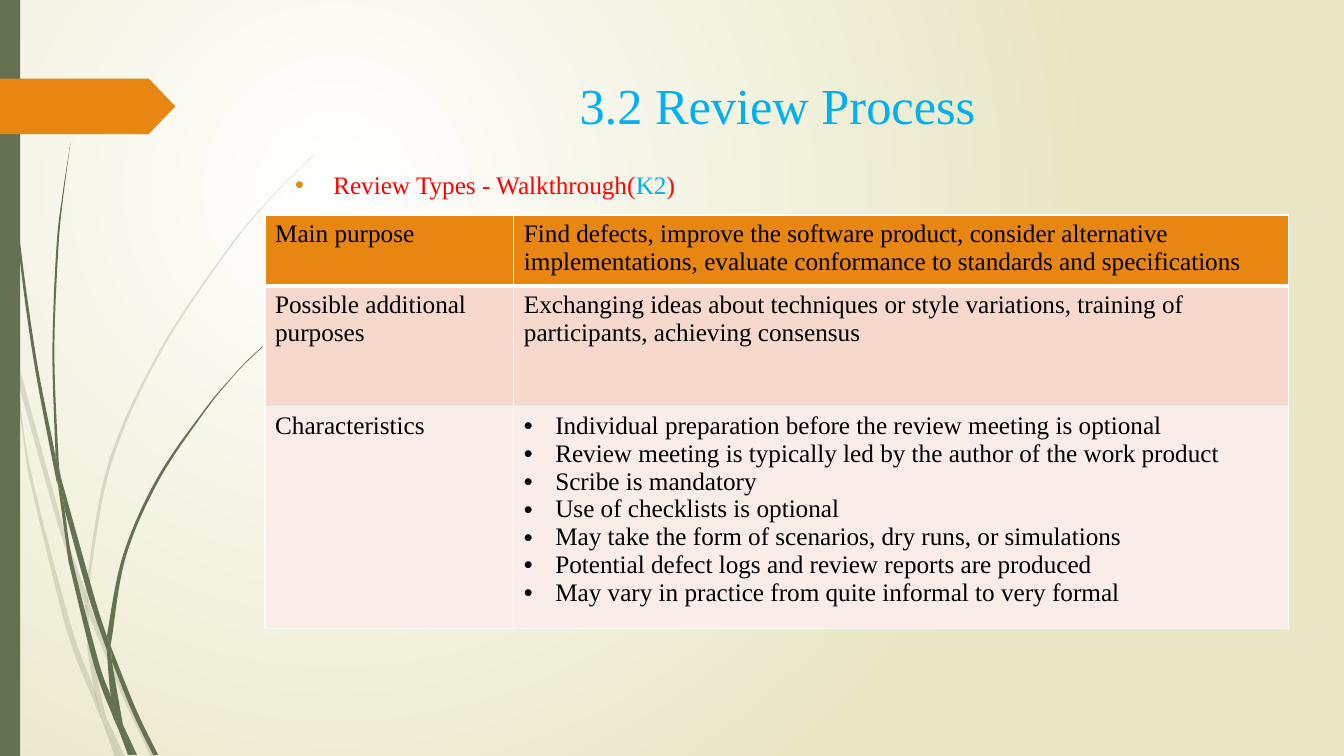
"""Build the Review Process slide on walkthroughs."""
from lxml import etree
from pptx import Presentation
from pptx.dml.color import RGBColor
from pptx.enum.shapes import MSO_SHAPE
from pptx.enum.text import MSO_ANCHOR, PP_ALIGN
from pptx.oxml.ns import qn
from pptx.util import Cm, Pt

RECTANGLE, PENTAGON = MSO_SHAPE.RECTANGLE, MSO_SHAPE.PENTAGON
TOP, CENTER, LEFT = MSO_ANCHOR.TOP, PP_ALIGN.CENTER, PP_ALIGN.LEFT
FONT = "Times New Roman"
TITLE_ONLY = 5
CM_PER_INCH = 2.54
COLORS = {
    "white": "FFFFFF", "cream": "E8E6C4", "green": "647252", "orange": "E78712",
    "blue": "00B0F0", "red": "FF0000", "black": "000000",
    "rose": "F6D9CC", "blush": "FAEDE7",
}

# Each blade has two edges, one running out and one running back, in inches.
PALE_BLADES = [
    ([(.11, 3.5), (.09, 3.22), (0, 2.82)], [(0, 2.99), (.1, 3.44)]),
    ([(.14, 3.45), (.62, 5.2), (.85, 5.86)], [(.84, 5.99), (.58, 5.22), (.17, 3.76)]),
    ([(.88, 5.96), (.92, 6.07), (1.27, 6.92), (1.55, 7.51)],
     [(1.5, 7.51), (1.23, 6.94), (.88, 6.1)]),
    ([(1.05, 7.11), (1.24, 7.51)], [(1.19, 7.51)]),
    ([(.11, 3.5), (.17, 3.76), (.31, 4.69), (.7, 6.19), (.93, 6.83), (.99, 7.07)],
     [(1.01, 7.14), (.92, 6.93), (.65, 6.21), (.28, 4.7)]),
    ([(.84, 5.99), (.88, 6.08), (.91, 6.46), (1.05, 7.11)],
     [(.96, 6.92), (.93, 6.83), (.87, 6.46)]),
    ([(3.12, 1.53), (2.89, 1.75), (2.68, 1.97), (2.28, 2.44), (1.58, 3.48),
      (1.07, 4.61), (.85, 5.84)],
     [(.88, 5.96), (.88, 5.84), (1.1, 4.62), (1.6, 3.49), (2.29, 2.45),
      (2.68, 1.98), (2.9, 1.75), (3.12, 1.54)]),
    ([(1.01, 7.14), (1.14, 7.51)], [(1.19, 7.51)]),
    ([(.85, 5.86), (.84, 5.99), (.88, 6.08)], [(.88, 6.1), (.88, 5.96)]),
    ([(.93, 6.83), (.99, 7.07), (1.01, 7.14), (1.19, 7.51)], [(1.05, 7.11), (.96, 6.92)]),
]
DARK_BLADES = [
    ([(.03, 0), (.04, .48), (.07, 1.1), (.17, 2.33), (.33, 3.55), (.56, 4.77)],
     [(.57, 4.81), (.55, 4.53), (.36, 3.55), (.19, 2.32), (.08, 1.09), (.05, .48), (.04, 0)]),
    ([(.6, 4.72), (.93, 5.9), (1.06, 6.31)], [(1.06, 6.45), (.88, 5.92), (.64, 5.05)]),
    ([(1.1, 6.41), (1.13, 6.49), (1.36, 7.06), (1.57, 7.49)],
     [(1.52, 7.49), (1.32, 7.08), (1.11, 6.56)]),
    ([(.57, 4.77), (.64, 5.05), (.72, 5.56), (.98, 6.57), (1.1, 6.91), (1.16, 7.17)],
     [(1.17, 7.22), (1.11, 7.08), (.93, 6.59), (.68, 5.57)]),
    ([(.7, 1.41), (.62, 1.93), (.56, 2.45), (.52, 3.49), (.55, 4.49)],
     [(.6, 4.72), (.58, 4.53), (.54, 3.49), (.58, 2.45), (.63, 1.93)]),
    ([(1.22, 7.19), (1.36, 7.49)], [(1.33, 7.49)]),
    ([(.55, 4.49), (.6, 4.72), (.64, 5.05)], [(.57, 4.77), (.55, 4.53)]),
    ([(2.6, 3.44), (2.45, 3.58), (2.31, 3.73), (2.04, 4.05), (1.56, 4.74),
      (1.22, 5.51), (1.06, 6.31)],
     [(1.1, 6.41), (1.11, 6.33), (1.25, 5.52), (1.58, 4.76), (2.05, 4.06),
      (2.31, 3.74), (2.45, 3.59), (2.61, 3.44)]),
    ([(1.17, 7.22), (1.27, 7.49)], [(1.31, 7.49)]),
    ([(1.06, 6.45), (1.1, 6.91), (1.16, 7.06), (1.22, 7.19)], [(1.11, 6.56), (1.09, 6.51)]),
    ([(1.06, 6.31), (1.06, 6.45), (1.11, 6.56)], [(1.1, 6.41)]),
    ([(1.1, 6.91), (1.16, 7.17), (1.17, 7.22), (1.3, 7.49)],
     [(1.33, 7.49), (1.22, 7.19), (1.16, 7.06)]),
]

ROWS = [
    ("orange", 1.35, "Main purpose", [
        "Find defects, improve the software product, consider alternative "
        "implementations, evaluate conformance to standards and specifications"]),
    ("rose", 3.05, "Possible additional purposes", [
        "Exchanging ideas about techniques or style variations, training of "
        "participants, achieving consensus"]),
    ("blush", 3.05, "Characteristics", [
        "Individual preparation before the review meeting is optional",
        "Review meeting is typically led by the author of the work product",
        "Scribe is mandatory",
        "Use of checklists is optional",
        "May take the form of scenarios, dry runs, or simulations",
        "Potential defect logs and review reports are produced",
        "May vary in practice from quite informal to very formal"]),
]


def rgb(name):
    return RGBColor.from_string(COLORS[name])


def set_font(font, size, color):
    font.name, font.size, font.bold = FONT, Pt(size), False
    font.color.rgb = rgb(color)


def paint(shape, color, opacity=100):
    shape.shadow.inherit = False
    shape.fill.solid()
    shape.fill.fore_color.rgb = rgb(color)
    shape.line.fill.background()
    if opacity < 100:
        tint = shape._element.spPr.find(".//" + qn("a:srgbClr"))
        etree.SubElement(tint, qn("a:alpha"), val=str(opacity * 1000))


def add_bullet(para, indent, color=None):
    props = para._p.get_or_add_pPr()
    props.set("marL", str(Cm(indent)))
    props.set("indent", str(-Cm(indent)))
    if color:
        tint = etree.SubElement(props, qn("a:buClr"))
        etree.SubElement(tint, qn("a:srgbClr"), val=COLORS[color])
    etree.SubElement(props, qn("a:buFont"), typeface="Arial")
    etree.SubElement(props, qn("a:buChar"), char="•")


def set_background(page):
    fill = page.background.fill
    fill.gradient()
    for stop, position, color in zip(fill.gradient_stops, (0, 1), ("white", "cream")):
        stop.position = position
        stop.color.rgb = rgb(color)
    gradient = page._element.find(".//" + qn("a:gradFill"))
    gradient.remove(gradient.find(qn("a:lin")))
    circle = etree.SubElement(gradient, qn("a:path"), path="circle")
    etree.SubElement(circle, qn("a:fillToRect"),
                     l="50000", t="50000", r="100000", b="100000")


def bend(line, before, start, end, after):
    """Turn a straight segment into a curve that flows on from its neighbours."""
    curve = etree.Element(qn("a:cubicBezTo"))
    first = [b + (c - a) / 6 for a, b, c in zip(before, start, end)]
    second = [c - (d - b) / 6 for b, c, d in zip(start, end, after)]
    for x, y in (first, second, end):
        etree.SubElement(curve, qn("a:pt"), x=str(round(x)), y=str(round(y)))
    line.getparent().replace(line, curve)


def add_blade(page, edges, opacity):
    outline = [(Cm(x * CM_PER_INCH), Cm(y * CM_PER_INCH)) for edge in edges for x, y in edge]
    builder = page.shapes.build_freeform(*outline[0])
    builder.add_line_segments(outline[1:])
    blade = builder.convert_to_shape()
    paint(blade, "green", opacity)
    lines = list(blade._element.iter(qn("a:lnTo")))
    points = [(x - blade.left, y - blade.top) for x, y in outline]
    start = 0
    for edge in edges:
        end = start + len(edge) - 1
        for i in range(start, end):
            bend(lines[i], points[max(i - 1, start)], points[i],
                 points[i + 1], points[min(i + 2, end)])
        start = end + 1


def add_block(page, kind, color, left, top, width, height):
    block = page.shapes.add_shape(kind, Cm(left), Cm(top), Cm(width), Cm(height))
    paint(block, color)
    return block


def set_title(page, text):
    title = page.shapes.title
    title.left, title.top, title.width, title.height = Cm(7.21), Cm(1.73), Cm(24.77), Cm(2.41)
    title.text_frame.text = text
    title.text_frame.vertical_anchor = TOP
    para = title.text_frame.paragraphs[0]
    para.alignment = CENTER
    set_font(para.font, 36, "blue")


def add_subtitle(page, spans):
    box = page.shapes.add_textbox(Cm(7.19), Cm(4.14), Cm(24.77), Cm(14.91))
    box.text_frame.word_wrap = True
    para = box.text_frame.paragraphs[0]
    para.space_before = Pt(10)
    add_bullet(para, .96, "orange")
    for text, color in spans:
        span = para.add_run()
        span.text = text
        set_font(span.font, 18, color)


def fill_cell(cell, texts, color, bottom):
    props = cell._tc.get_or_add_tcPr()
    for side, width in (("L", 1), ("R", 1), ("T", 1), ("B", bottom)):
        line = etree.SubElement(props, qn("a:ln" + side), w=str(Pt(width)))
        solid = etree.SubElement(line, qn("a:solidFill"))
        etree.SubElement(solid, qn("a:srgbClr"), val=COLORS["white"])
    cell.fill.solid()
    cell.fill.fore_color.rgb = rgb(color)
    cell.text_frame.text = "\n".join(texts)
    for para in cell.text_frame.paragraphs:
        para.alignment = LEFT
        set_font(para.font, 18, "black")
        if len(texts) > 1:
            add_bullet(para, .79)


def add_review_table(page):
    height = sum(row[1] for row in ROWS)
    table = page.shapes.add_table(len(ROWS), 2, Cm(6.68), Cm(5.42), Cm(25.8), Cm(height)).table
    table.first_row = table.horz_banding = False
    table.columns[0].width, table.columns[1].width = Cm(6.27), Cm(19.53)
    for i, (color, row_height, label, texts) in enumerate(ROWS):
        table.rows[i].height = Cm(row_height)
        bottom = 3 if i == 0 else 1
        fill_cell(table.cell(i, 0), [label], color, bottom)
        fill_cell(table.cell(i, 1), texts, color, bottom)


def main():
    deck = Presentation()
    deck.slide_width, deck.slide_height = Cm(33.87), Cm(19.05)
    page = deck.slides.add_slide(deck.slide_layouts[TITLE_ONLY])
    set_background(page)
    for blades, opacity in ((PALE_BLADES, 20), (DARK_BLADES, 100)):
        for edges in blades:
            add_blade(page, edges, opacity)
    add_block(page, RECTANGLE, "green", 0, 0, .51, 19.05)
    arrow = add_block(page, PENTAGON, "orange", 0, 1.98, 4.42, 1.4)
    arrow.adjustments[0] = .48
    set_title(page, "3.2 Review Process")
    add_subtitle(page, [("Review Types - Walkthrough(", "red"), ("K2", "blue"), (")", "red")])
    add_review_table(page)
    deck.save("out.pptx")


main()
